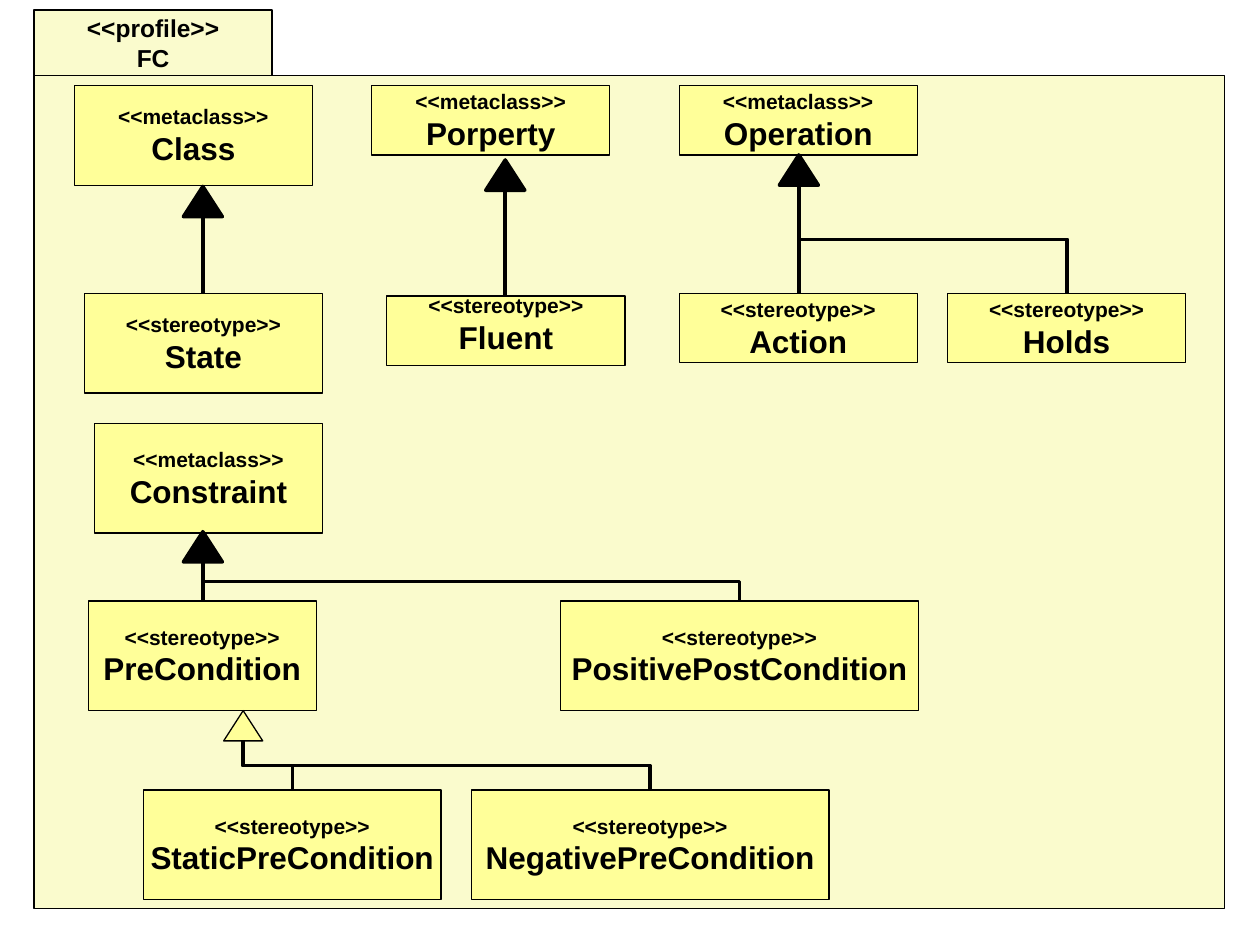
from lxml import etree
from pptx import Presentation
from pptx.dml.color import RGBColor
from pptx.enum import shapes, text
from pptx.oxml.ns import qn
from pptx.util import Inches, Pt

FONT = "Arial"
BLACK, CREAM, YELLOW = "000000", "FAFBCD", "FFFF99"
THIN, THICK = 0.75, 2

META, STEREO = "<<metaclass>>", "<<stereotype>>"
TAB = (0.27, 0.08, 1.89, 0.52)
FRAME = (0.27, 0.6, 9.45, 6.61)
CLASSES = [
    (META, "Class", 0.59, 0.68, 1.89, 0.79),
    (STEREO, "State", 0.67, 2.33, 1.89, 0.79),
    (META, "Porperty", 2.95, 0.68, 1.89, 0.55),
    (STEREO, "Fluent", 3.07, 2.35, 1.89, 0.55),
    (META, "Operation", 5.39, 0.68, 1.89, 0.55),
    (STEREO, "Action", 5.39, 2.33, 1.89, 0.55),
    (STEREO, "Holds", 7.52, 2.33, 1.89, 0.55),
    (META, "Constraint", 0.75, 3.36, 1.81, 0.87),
    (STEREO, "PreCondition", 0.7, 4.77, 1.81, 0.87),
    (STEREO, "PositivePostCondition", 4.45, 4.77, 2.84, 0.87),
    (STEREO, "StaticPreCondition", 1.14, 6.27, 2.36, 0.87),
    (STEREO, "NegativePreCondition", 3.74, 6.27, 2.84, 0.87),
]
HEAD_W, HEAD_H = 0.31, 0.24
# fill, line width, apex x, apex y, ends of the branches
ARROWS = [
    (BLACK, THICK, 1.61, 1.48, [(1.61, 2.33)]),
    (BLACK, THICK, 4.01, 1.27, [(4.01, 2.35)]),
    (BLACK, THICK, 6.34, 1.23, [(6.34, 2.33), (8.47, 2.33)]),
    (BLACK, THICK, 1.61, 4.22, [(1.61, 4.77), (5.87, 4.77)]),
    (YELLOW, THIN, 1.93, 5.64, [(2.32, 6.27), (5.16, 6.27)]),
]


def rgb(value):
    return RGBColor.from_string(value)


def add_shape(s, kind, box, fill, width):
    sp = s.shapes.add_shape(kind, *map(Inches, box))
    sp.shadow.inherit = False
    sp.fill.solid()
    sp.fill.fore_color.rgb = rgb(fill)
    sp.line.color.rgb = rgb(BLACK)
    sp.line.width = Pt(width)
    return sp


def add_label(sp, lines, bottom=0.05):
    tf = sp.text_frame
    tf.word_wrap = False
    tf.vertical_anchor = text.MSO_ANCHOR.MIDDLE
    tf.margin_top = Inches(0.1 - bottom)
    tf.margin_bottom = Inches(bottom)
    for i, (line, size) in enumerate(lines):
        p = tf.paragraphs[0] if i == 0 else tf.add_paragraph()
        p.text = line
        p.alignment = text.PP_ALIGN.CENTER
        p.font.name = FONT
        p.font.size = Pt(size)
        p.font.bold = True
        p.font.color.rgb = rgb(BLACK)


def add_branch(s, x1, y1, x2, y2):
    dx, dy = x2 - x1, y2 - y1
    if dx == 0:
        kind, ends = shapes.MSO_CONNECTOR.STRAIGHT, (x1, y1, x2, y2)
    else:
        kind = shapes.MSO_CONNECTOR.ELBOW
        cx, cy = (x1 + x2) / 2, (y1 + y2) / 2
        ends = (cx + dy / 2, cy - dx / 2, cx - dy / 2, cy + dx / 2)
    c = s.shapes.add_connector(kind, *map(Inches, ends))
    if dx:
        c._element.spPr.find(qn("a:xfrm")).set("rot", str(270 * 60000))
    c.line.color.rgb = rgb(BLACK)
    c.line.width = Pt(THICK)
    etree.SubElement(c._element.spPr, qn("a:effectLst"))


def main():
    prs = Presentation()
    prs.slide_width, prs.slide_height = Inches(10), Inches(7.5)
    s = prs.slides.add_slide(prs.slide_layouts[6])
    rect = shapes.MSO_SHAPE.RECTANGLE

    tab = add_shape(s, rect, TAB, CREAM, THIN)
    add_label(tab, [("<<profile>>", 14), ("FC", 14)])
    add_shape(s, rect, FRAME, CREAM, THIN)

    for kind, name, *box in CLASSES:
        sp = add_shape(s, rect, box, YELLOW, THIN)
        add_label(sp, [(kind, 12), (name, 18)], 0.1 if name == "Fluent" else 0.05)

    for fill, width, x, y, ends in ARROWS:
        head = (x - HEAD_W / 2, y, HEAD_W, HEAD_H)
        add_shape(s, shapes.MSO_SHAPE.ISOSCELES_TRIANGLE, head, fill, width)
        for end in ends:
            add_branch(s, x, y + HEAD_H, *end)

    prs.save("out.pptx")


if __name__ == "__main__":
    main()
